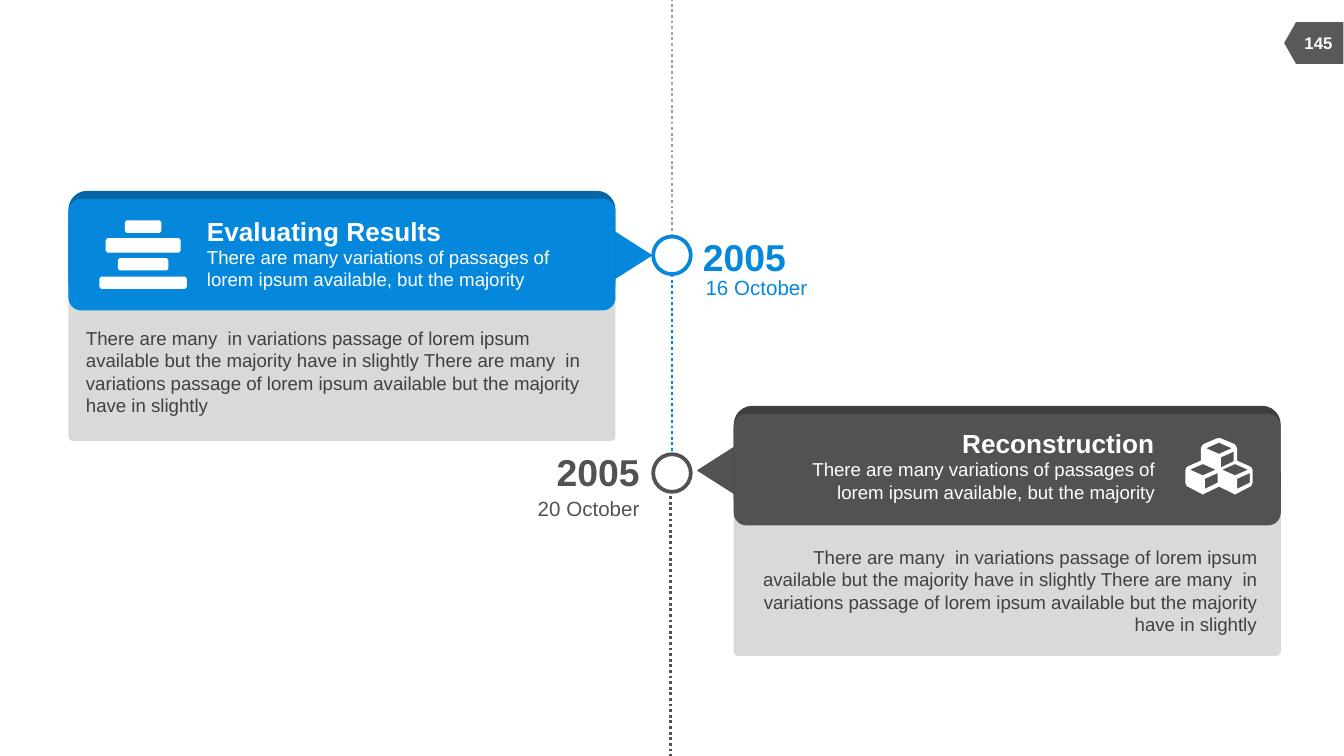
from pptx import Presentation
from pptx.dml.color import RGBColor
from pptx.enum.dml import MSO_LINE
from pptx.enum.shapes import MSO_CONNECTOR, MSO_SHAPE
from pptx.enum.text import MSO_ANCHOR, PP_ALIGN
from pptx.oxml.ns import qn
from pptx.util import Inches, Pt
from lxml.etree import SubElement

WHITE = RGBColor(0xFF, 0xFF, 0xFF)
BLUE = RGBColor(0x05, 0x88, 0xDB)
NAVY = RGBColor(0x04, 0x66, 0xA4)
GRAY = RGBColor(0x52, 0x52, 0x52)
DARK = RGBColor(0x3E, 0x3E, 0x3E)
PALE = RGBColor(0xD9, 0xD9, 0xD9)
INK = RGBColor(0x40, 0x40, 0x40)
DOTS = RGBColor(0xA1, 0xA1, 0xA1)
TAG = RGBColor(0x59, 0x59, 0x59)

WIDE, HIGH = Inches(10), Inches(5.625)
COLS, ROWS = 100, 56.25
FONT = "Arial"
LEAD = "There are many variations of passages of lorem ipsum available, but the majority"
PART = "There are many  in variations passage of lorem ipsum available but the majority have in slightly"
BODY = f"{PART} {PART}"


def col(n):
    return round(n * WIDE / COLS)


def row(n):
    return round(n * HIGH / ROWS)


def place(box):
    x, y, w, h = box
    return col(x), row(y), col(w), row(h)


def paint(shape, fill):
    shape.shadow.inherit = False
    shape.fill.solid()
    shape.fill.fore_color.rgb = fill
    shape.line.fill.background()
    return shape


def block(slide, kind, box, fill, turn=0, curve=None):
    shape = paint(slide.shapes.add_shape(kind, *place(box)), fill)
    shape.rotation = turn
    if curve is not None:
        shape.adjustments[0] = curve
    return shape


def write(slide, box, text, size, color, align=PP_ALIGN.LEFT, bold=False,
          wrap=False, anchor=MSO_ANCHOR.MIDDLE):
    frame = slide.shapes.add_textbox(*place(box)).text_frame
    frame.margin_left = frame.margin_right = 0
    frame.margin_top = frame.margin_bottom = 0
    frame.word_wrap = wrap
    frame.vertical_anchor = anchor
    line = frame.paragraphs[0]
    line.alignment = align
    run = line.add_run()
    run.text = text
    font = run.font
    font.name, font.size, font.bold = FONT, Pt(size), bold
    font.color.rgb = color


def trail(slide, x, top, end, color):
    line = slide.shapes.add_connector(
        MSO_CONNECTOR.STRAIGHT, col(x), row(top), col(x), row(end))
    line.line.color.rgb = color
    line.line.width = Pt(1.5)
    line.line.dash_style = MSO_LINE.ROUND_DOT
    SubElement(line._element.spPr, qn("a:effectLst"))


def outline(slide, box, loops):
    x, y, w, h = box
    loops = [[(col(x + a * w), row(y + b * h)) for a, b in loop] for loop in loops]
    pen = slide.shapes.build_freeform(*loops[0][0], scale=1.0)
    for n, loop in enumerate(loops):
        if n:
            pen.move_to(*loop[0])
        pen.add_line_segments(loop[1:], close=True)
    paint(pen.convert_to_shape(), WHITE)


def bars(slide, box):
    loops = []
    for wide, top, end in [(0.42, 0, 0.18), (0.86, 0.26, 0.47),
                           (0.58, 0.55, 0.73), (1, 0.82, 1)]:
        a, b = 0.5 - wide / 2, 0.5 + wide / 2
        dx, dy = 0.02, 0.03
        loops.append([(a + dx, top), (b - dx, top), (b, top + dy), (b, end - dy),
                      (b - dx, end), (a + dx, end), (a, end - dy), (a, top + dy)])
    outline(slide, box, loops)


def cubes(slide, box):
    half = [(0.48, 0), (0.28, 0.1), (0.25, 0.13), (0.23, 0.18), (0.23, 0.4),
            (0.04, 0.5), (0.01, 0.53), (0, 0.57), (0, 0.79), (0.02, 0.85),
            (0.23, 0.98), (0.26, 1), (0.29, 0.98), (0.5, 0.86)]
    loops = [half + [(1 - a, b) for a, b in reversed(half[:-1])]]
    for x, y in [(0.26, 0.56), (0.5, 0.18), (0.74, 0.56)]:
        loops.append([(x - 0.19, y), (x, y - 0.1), (x + 0.19, y), (x, y + 0.1)])
        loops.append([(x + 0.03, y + 0.16), (x + 0.22, y + 0.06),
                      (x + 0.22, y + 0.23), (x + 0.03, y + 0.34)])
    outline(slide, box, loops)


def card(slide, box, left, title, fill, edge, icon, spot):
    x, y, w, h = box
    band = 8.3
    align = PP_ALIGN.LEFT if left else PP_ALIGN.RIGHT
    tip = x + w + 0.75 if left else x - 0.75
    head = x + 10.3 if left else x + w - 9.4 - 27.6
    text = x + (1.3 if left else 1.2)
    high = MSO_ANCHOR.TOP
    block(slide, MSO_SHAPE.ROUNDED_RECTANGLE, (x, y + h - 12.4, w, 12.4), PALE, curve=0.025)
    block(slide, MSO_SHAPE.ISOSCELES_TRIANGLE, (tip - 2.55, y + 2.8, 5.1, 4),
          fill, 90 if left else 270)
    block(slide, MSO_SHAPE.ROUNDED_RECTANGLE, (x, y, w, band), edge)
    block(slide, MSO_SHAPE.ROUNDED_RECTANGLE, (x, y + 0.6, w, band), fill, curve=0.113)
    write(slide, (head, y + (1.8 if left else 1.6), 27.6, 2.4), title, 14, WHITE, align, True)
    write(slide, (head, y + (4.1 if left else 3.9), 27.6, 3.4), LEAD, 10, WHITE,
          align, wrap=True, anchor=high)
    write(slide, (text, y + (10.1 if left else 10.4), 37.7, 6.7), BODY, 10, INK,
          align, wrap=True, anchor=high)
    icon(slide, spot)


def stop(slide, box, label, left, year, day, color):
    ring = block(slide, MSO_SHAPE.OVAL, box, WHITE)
    ring.line.color.rgb = color
    ring.line.width = Pt(2)
    x, y, w, h = label
    align = PP_ALIGN.LEFT if left else PP_ALIGN.RIGHT
    write(slide, (x if left else x + w - 6.2, y, 6.2, 3.4), year, 20, color, align, True)
    write(slide, (x + w - 7.6, y + h - 1.9, 7.6, 1.9), day, 11, color, align)


def badge(slide, box, text):
    x, y, w, h = box
    block(slide, MSO_SHAPE.FLOWCHART_OFFPAGE_CONNECTOR,
          (x + (w - h) / 2, y + (h - w) / 2, h, w), TAG, 90)
    write(slide, (x + 0.45, y, 4.2, h), text, 9, WHITE, PP_ALIGN.CENTER, True)


def main():
    deck = Presentation()
    deck.slide_width, deck.slide_height = WIDE, HIGH
    slide = deck.slides.add_slide(deck.slide_layouts[6])
    badge(slide, (95.55, 1.65, 4.4, 3.1), "145")
    trail(slide, 50, 20.4, 33.8, BLUE)
    trail(slide, 50, 17.6, 0, DOTS)
    trail(slide, 49.9, 36.5, ROWS, GRAY)
    card(slide, (5.1, 14.2, 40.7, 18.6), True, "Evaluating Results",
         BLUE, NAVY, bars, (7.4, 16.4, 6.5, 5.1))
    card(slide, (54.6, 30.2, 40.7, 18.6), False, "Reconstruction",
         GRAY, DARK, cubes, (88.2, 32.6, 5, 4.2))
    stop(slide, (48.6, 17.6, 2.8, 2.8), (52.3, 17.4, 7.8, 4.9),
         True, "2005", "16 October", BLUE)
    stop(slide, (48.6, 33.8, 2.8, 2.8), (40, 33.4, 7.6, 5.4),
         False, "2005", "20 October", GRAY)
    deck.save("out.pptx")


if __name__ == "__main__":
    main()
